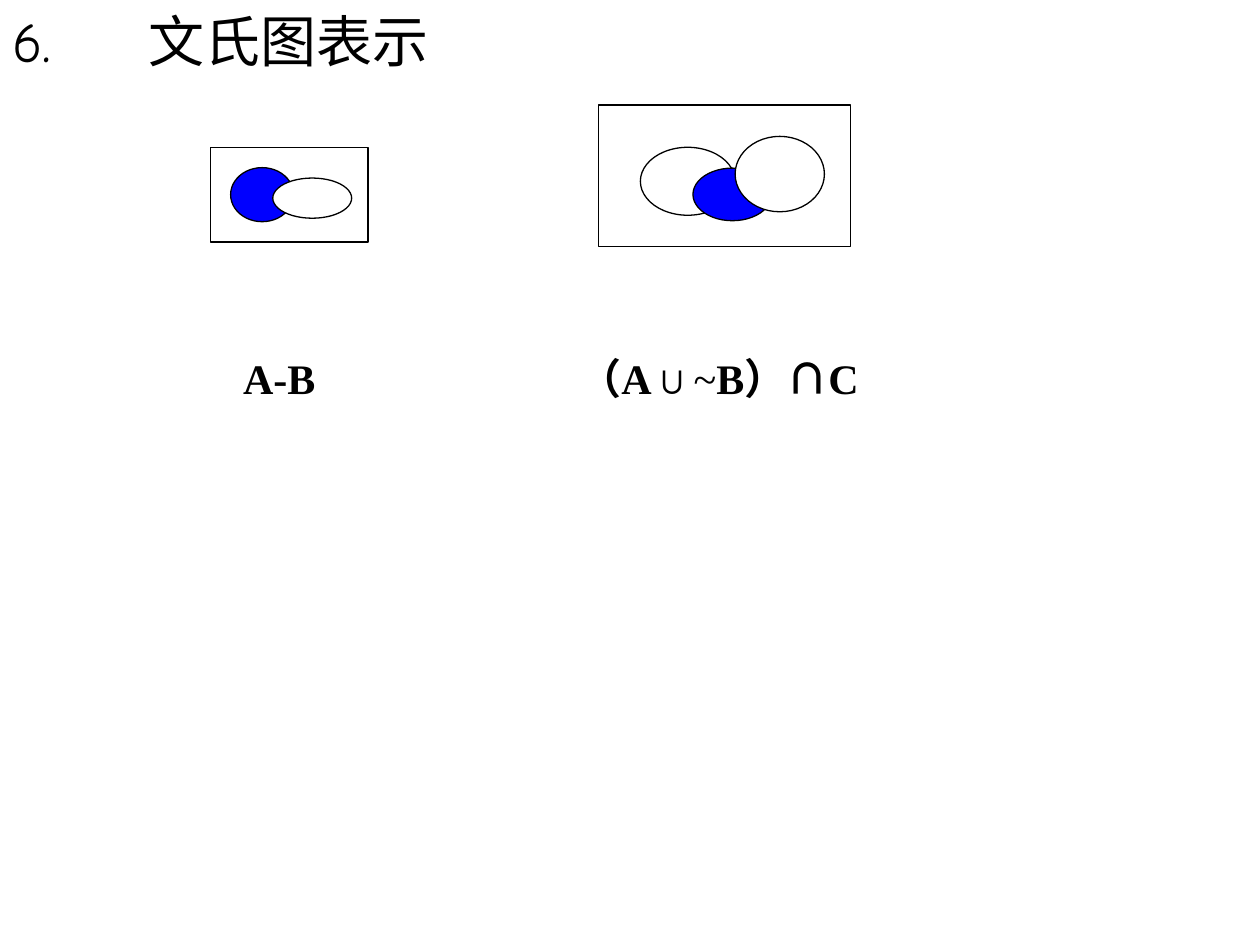
from lxml.etree import SubElement
from pptx import Presentation
from pptx.dml.color import RGBColor
from pptx.enum.shapes import MSO_SHAPE
from pptx.enum.text import PP_ALIGN
from pptx.oxml.ns import qn
from pptx.util import Cm, Pt

BLACK = RGBColor(0x00, 0x00, 0x00)
WHITE = RGBColor(0xFF, 0xFF, 0xFF)
BLUE = RGBColor(0x00, 0x00, 0xFF)

prs = Presentation()
prs.slide_width, prs.slide_height = Cm(25.4), Cm(19.05)
s = prs.slides.add_slide(prs.slide_layouts[6])


def add_text(box, runs, font, tab=None):
    """Add a text box; runs are (text, bold) pairs, tab a stop in cm."""
    tf = s.shapes.add_textbox(*map(Cm, box)).text_frame
    tf.word_wrap = True
    p = tf.paragraphs[0]
    p.alignment = PP_ALIGN.JUSTIFY
    if tab:
        tabs = SubElement(p._p.get_or_add_pPr(), qn("a:tabLst"))
        SubElement(tabs, qn("a:tab"), pos=str(Cm(tab)), algn="l")
    for text, bold in runs:
        r = p.add_run()
        r.text = text
        r.font.bold = bold
        r.font.color.rgb = BLACK
        for name, value in font.items():
            setattr(r.font, name, value)
    return p


add_text((0, 0, 25.4, 19.05), [("6.\t文氏图表示", False)],
         {"name": "Comic Neue", "size": Pt(32)}, tab=2.75)

RECT, OVAL = MSO_SHAPE.RECTANGLE, MSO_SHAPE.OVAL
difference = [
    (RECT, (4.24, 2.97, 3.18, 1.91), WHITE),
    (OVAL, (4.65, 3.38, 1.27, 1.09), BLUE),
    (OVAL, (5.5, 3.59, 1.59, 0.81), WHITE),
]
intersection = [
    (RECT, (12.07, 2.12, 5.08, 2.85), WHITE),
    (OVAL, (12.91, 2.97, 1.91, 1.37), WHITE),
    (OVAL, (13.97, 3.39, 1.59, 1.06), BLUE),
    (OVAL, (14.82, 2.75, 1.8, 1.52), WHITE),
]
for venn in (difference, intersection):
    group = s.shapes.add_group_shape()
    for kind, box, color in venn:
        sp = group.shapes.add_shape(kind, *map(Cm, box))
        sp.shadow.inherit = False
        sp.fill.solid()
        sp.fill.fore_color.rgb = color
        sp.line.color.rgb = BLACK
        sp.line.width = Pt(0.75)

formula = {"name": "Times New Roman", "size": Pt(24)}
add_text((4.65, 6.99, 2.54, 1.27), [("A-B", True)], formula)
p = add_text((11.43, 7.09, 6.99, 1.17),
             [("（A∪", True), ("~", False), ("B）∩C", True)], formula)
p.line_spacing = 0.9

prs.save("out.pptx")
